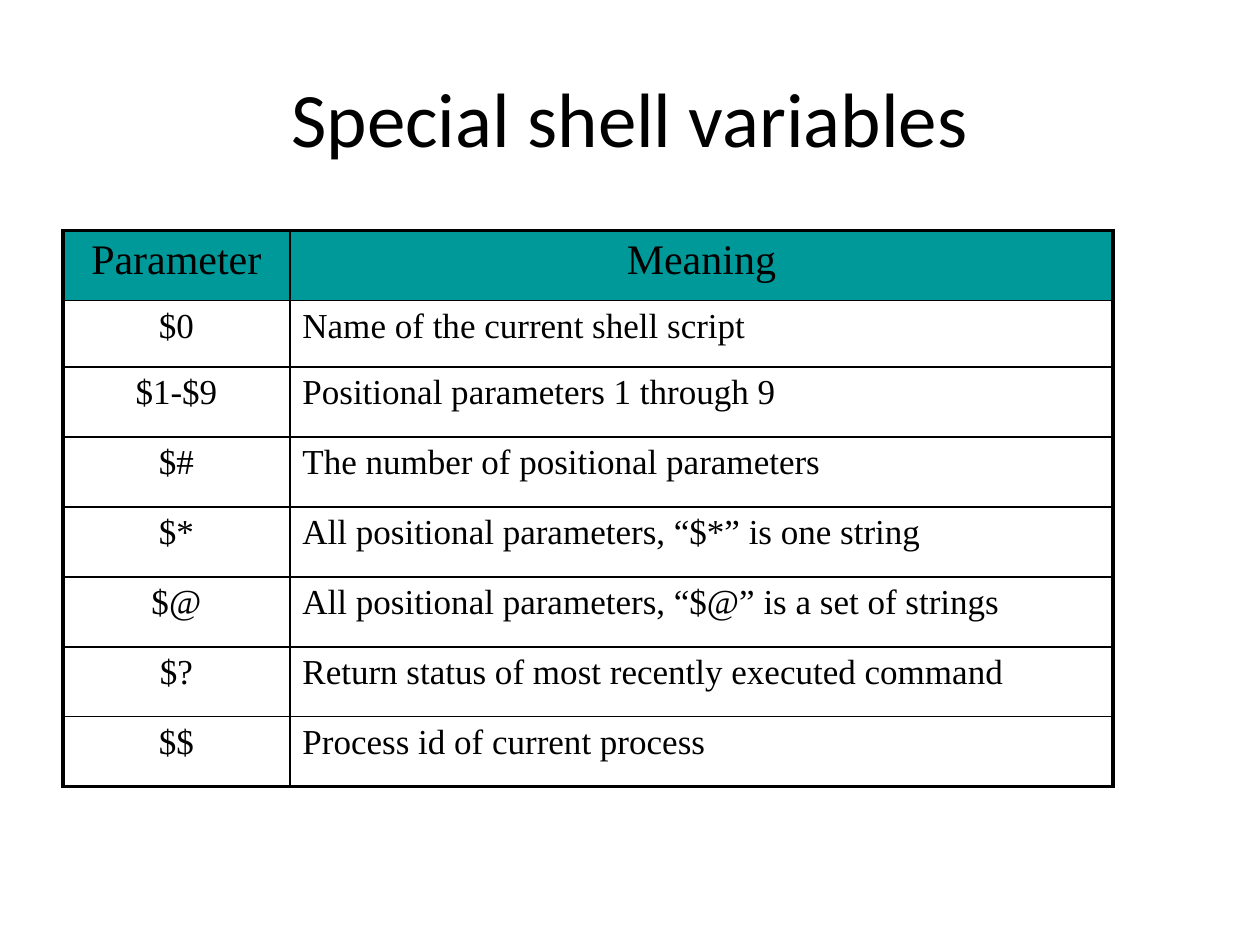
import lxml.etree
import pptx
import pptx.dml.color
import pptx.enum.text
import pptx.oxml.ns
import pptx.util

ALIGN = pptx.enum.text.PP_ALIGN
BLACK, TEAL = "000000", "009999"
THIN, THICK = 1, 2.25
VARIABLES = [
    ("Parameter", "Meaning"),
    ("$0", "Name of the current shell script"),
    ("$1-$9", "Positional parameters 1 through 9"),
    ("$#", "The number of positional parameters"),
    ("$*", "All positional parameters, “$*” is one string"),
    ("$@", "All positional parameters, “$@” is a set of strings"),
    ("$?", "Return status of most recently executed command"),
    ("$$", "Process id of current process"),
]


def color(value):
    return pptx.dml.color.RGBColor.from_string(value)


def element(parent, tag, **attributes):
    return lxml.etree.SubElement(parent, pptx.oxml.ns.qn(tag), **attributes)


def write(frame, text, font, size, align=ALIGN.LEFT, before=None):
    para = frame.paragraphs[0]
    para.alignment = align
    span = para.add_run()
    span.text = text
    span.font.name = font
    span.font.size = pptx.util.Pt(size)
    span.font.color.rgb = color(BLACK)
    if before:
        properties = para._p.get_or_add_pPr()
        spacing = element(properties, "a:spcBef")
        element(spacing, "a:spcPct", val=str(before * 1000))
        properties.insert(0, spacing)


class Sheet:
    """Holds the style and the current slide, measured on a 20 by 15 grid."""

    title_font, table_font = "Calibri", "Times New Roman"
    columns, rows = 20, 15

    def __init__(self, deck):
        self.deck = deck
        self.slide = deck.slides.add_slide(deck.slide_layouts[5])

    def across(self, count):
        return round(self.deck.slide_width * count / self.columns)

    def down(self, count):
        return round(self.deck.slide_height * count / self.rows)

    def title(self, text, left, top, width, height):
        box = self.slide.shapes.title
        box.left, box.top = self.across(left), self.down(top)
        box.width, box.height = self.across(width), self.down(height)
        box.text_frame.vertical_anchor = pptx.enum.text.MSO_ANCHOR.MIDDLE
        write(box.text_frame, text, self.title_font, 44, ALIGN.CENTER)

    def borders(self, cell, widths):
        properties = cell._tc.get_or_add_tcPr()
        for index, (side, width) in enumerate(widths.items()):
            line = element(properties, "a:ln" + side, w=str(pptx.util.Pt(width)))
            fill = element(line, "a:solidFill")
            element(fill, "a:srgbClr", val=BLACK)
            properties.insert(index, line)

    def table(self, data, left, top, widths, heights):
        frame = self.slide.shapes.add_table(
            len(heights), len(widths), self.across(left), self.down(top),
            self.across(sum(widths)), self.down(sum(heights)))
        grid = frame.table
        grid.first_row = grid.horz_banding = False
        for column, width in zip(grid.columns, widths):
            column.width = self.across(width)
        for row, height in zip(grid.rows, heights):
            row.height = self.down(height)
        last_row, last_column = len(heights) - 1, len(widths) - 1
        for y, texts in enumerate(data):
            for x, text in enumerate(texts):
                cell = grid.cell(y, x)
                header = y == 0
                if header:
                    cell.fill.solid()
                    cell.fill.fore_color.rgb = color(TEAL)
                else:
                    cell.fill.background()
                write(cell.text_frame, text, self.table_font, 24 if header else 20,
                      ALIGN.CENTER if header or x == 0 else ALIGN.LEFT, before=20)
                outer = {"L": x == 0, "R": x == last_column,
                         "T": header, "B": y == last_row}
                self.borders(cell, {side: THICK if edge else THIN
                                    for side, edge in outer.items()})


deck = pptx.Presentation()
deck.slide_width, deck.slide_height = pptx.util.Inches(10), pptx.util.Inches(7.5)
sheet = Sheet(deck)
sheet.title("Special shell variables", 1, 0.6, 18, 2.5)
row = 1.11
sheet.table(VARIABLES, 1, 3.66, [3.6, 13.07], [row, 1.06] + [row] * 6)
deck.save("out.pptx")
